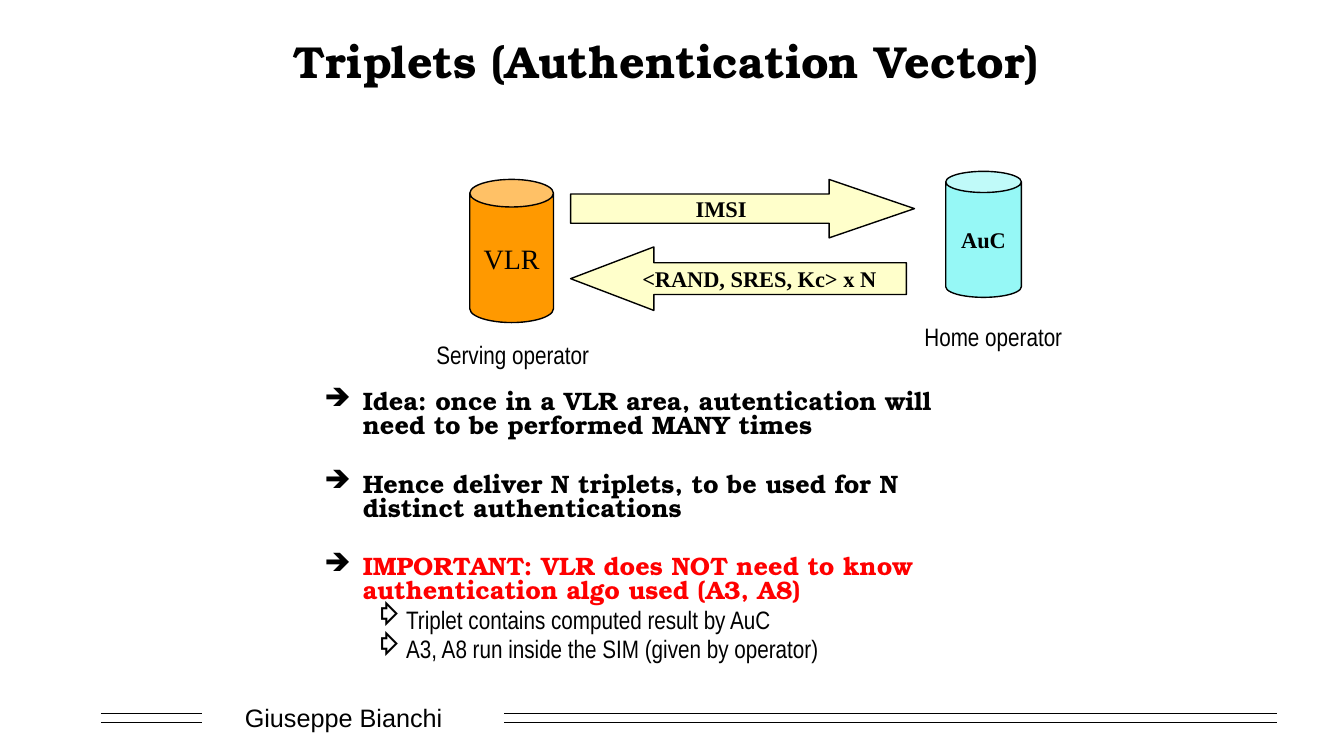
from lxml import etree
from pptx import Presentation
from pptx.dml.color import RGBColor
from pptx.enum.shapes import MSO_CONNECTOR, MSO_SHAPE
from pptx.enum.text import MSO_ANCHOR, MSO_AUTO_SIZE, PP_ALIGN
from pptx.oxml.ns import qn
from pptx.util import Inches, Pt

CAN = MSO_SHAPE.CAN
RIGHT = MSO_SHAPE.RIGHT_ARROW
LEFT = MSO_SHAPE.LEFT_ARROW
LINE = MSO_CONNECTOR.STRAIGHT
MIDDLE = MSO_ANCHOR.MIDDLE
CENTER = PP_ALIGN.CENTER
FIXED = MSO_AUTO_SIZE.NONE

BLACK = RGBColor(0x00, 0x00, 0x00)
RED = RGBColor(0xFF, 0x00, 0x00)
ORANGE = RGBColor(0xFF, 0x99, 0x00)
CYAN = RGBColor(0x96, 0xF8, 0xF6)
YELLOW = RGBColor(0xFF, 0xFF, 0x99)

SERIF = "Times New Roman"
SANS = "Arial"
NARROW = "Arial Narrow"
BOOK = "TeX Gyre Bonum"

POINTS = [
    ("Idea: once in a VLR area, autentication will need to be performed MANY times", BLACK, 3.6),
    ("Hence deliver N triplets, to be used for N distinct authentications", BLACK, 24.5),
    ("IMPORTANT: VLR does NOT need to know authentication algo used (A3, A8)", RED, 24.5),
]
DETAILS = [
    "Triplet contains computed result by AuC",
    "A3, A8 run inside the SIM (given by operator)",
]


def style(para, face, size, bold=False, color=BLACK):
    """Format every run of a paragraph."""
    for run in para.runs:
        font = run.font
        font.name, font.size, font.bold = face, Pt(size), bold
        font.color.rgb = color


def add_title(slide, text):
    """Place and format the title."""
    title = slide.shapes.title
    title.left, title.top = Inches(1), Inches(0.25)
    title.width, title.height = Inches(11.22), Inches(0.71)
    frame = title.text_frame
    frame.text = text
    frame.auto_size = FIXED
    frame.vertical_anchor = MIDDLE
    frame.paragraphs[0].alignment = CENTER
    style(frame.paragraphs[0], BOOK, 32, True)


def add_node(slide, kind, box, ratios, fill, text, size=16, bold=True):
    """Draw an outlined shape with a centred label."""
    node = slide.shapes.add_shape(kind, *map(Inches, box))
    for index, ratio in enumerate(ratios):
        node.adjustments[index] = ratio
    node.shadow.inherit = False
    node.fill.solid()
    node.fill.fore_color.rgb = fill
    node.line.color.rgb = BLACK
    node.line.width = Pt(1)
    frame = node.text_frame
    frame.text = text
    frame.word_wrap = False
    frame.vertical_anchor = MIDDLE
    frame.paragraphs[0].alignment = CENTER
    style(frame.paragraphs[0], SERIF, size, bold)
    return node


def add_arrow(slide, kind, box, head, text):
    """Draw a half-transparent block arrow."""
    arrow = add_node(slide, kind, box, (0.5, head), YELLOW, text)
    color = arrow.fill._xPr.find(qn("a:solidFill"))[0]
    etree.SubElement(color, qn("a:alpha"), val="50000")


def add_label(slide, box, text, face):
    """Write a single line of text."""
    label = slide.shapes.add_textbox(*map(Inches, box))
    frame = label.text_frame
    frame.text = text
    frame.word_wrap = False
    frame.vertical_anchor = MIDDLE
    style(frame.paragraphs[0], face, 18)


def add_rule(slide, start, end, top):
    """Draw a thin horizontal line."""
    rule = slide.shapes.add_connector(LINE, Inches(start), Inches(top), Inches(end), Inches(top))
    rule.line.color.rgb = BLACK
    rule.line.width = Pt(1)
    etree.SubElement(rule._element.spPr, qn("a:effectLst"))


def add_item(para, text, mark, indent, hang, before):
    """Fill a paragraph and give it a black bullet."""
    para.text = text
    para.line_spacing = 0.8
    para.space_before = Pt(before)
    props = para._p.get_or_add_pPr()
    props.set("marL", str(Inches(indent)))
    props.set("indent", str(-Inches(hang)))
    color = etree.SubElement(props, qn("a:buClr"))
    etree.SubElement(color, qn("a:srgbClr"), val=str(BLACK))
    etree.SubElement(props, qn("a:buChar"), char=mark)


def add_body(slide):
    """Write the bulleted points and their details."""
    box = slide.shapes.add_textbox(Inches(3.12), Inches(3.83), Inches(6.53), Inches(2.88))
    frame = box.text_frame
    frame.word_wrap = True
    para = frame.paragraphs[0]
    for text, color, before in POINTS:
        add_item(para, text, "➔", 0.38, 0.38, before)
        style(para, BOOK, 18, True, color)
        para = frame.add_paragraph()
    for index, text in enumerate(DETAILS):
        if index:
            para = frame.add_paragraph()
        para.level = 1
        add_item(para, text, "⇨", 0.81, 0.31, 3.6)
        style(para, NARROW, 18)


def main():
    """Build and save the slide."""
    deck = Presentation()
    deck.slide_width, deck.slide_height = Inches(13.33), Inches(7.5)
    slide = deck.slides.add_slide(deck.slide_layouts[5])
    add_label(slide, (2.33, 6.92, 2.2, 0.4), "Giuseppe Bianchi", SANS)
    for top in (7.08, 7.17):
        for start, end in ((1, 2), (5, 12.67)):
            add_rule(slide, start, end, top)
    add_title(slide, "Triplets (Authentication Vector)")
    add_node(slide, CAN, (4.66, 1.78, 0.83, 1.42), (0.33,), ORANGE, "VLR", 20, False)
    add_node(slide, CAN, (9.38, 1.7, 0.75, 1.25), (0.28,), CYAN, "AuC")
    add_arrow(slide, RIGHT, (5.66, 1.78, 3.41, 0.58), 1.46, "IMSI")
    add_arrow(slide, LEFT, (5.66, 2.45, 3.33, 0.63), 1.31, "<RAND, SRES, Kc> x N")
    add_label(slide, (9.07, 3.14, 1.57, 0.4), "Home operator", NARROW)
    add_label(slide, (4.23, 3.32, 1.74, 0.4), "Serving operator", NARROW)
    add_body(slide)
    deck.save("out.pptx")


if __name__ == "__main__":
    main()
